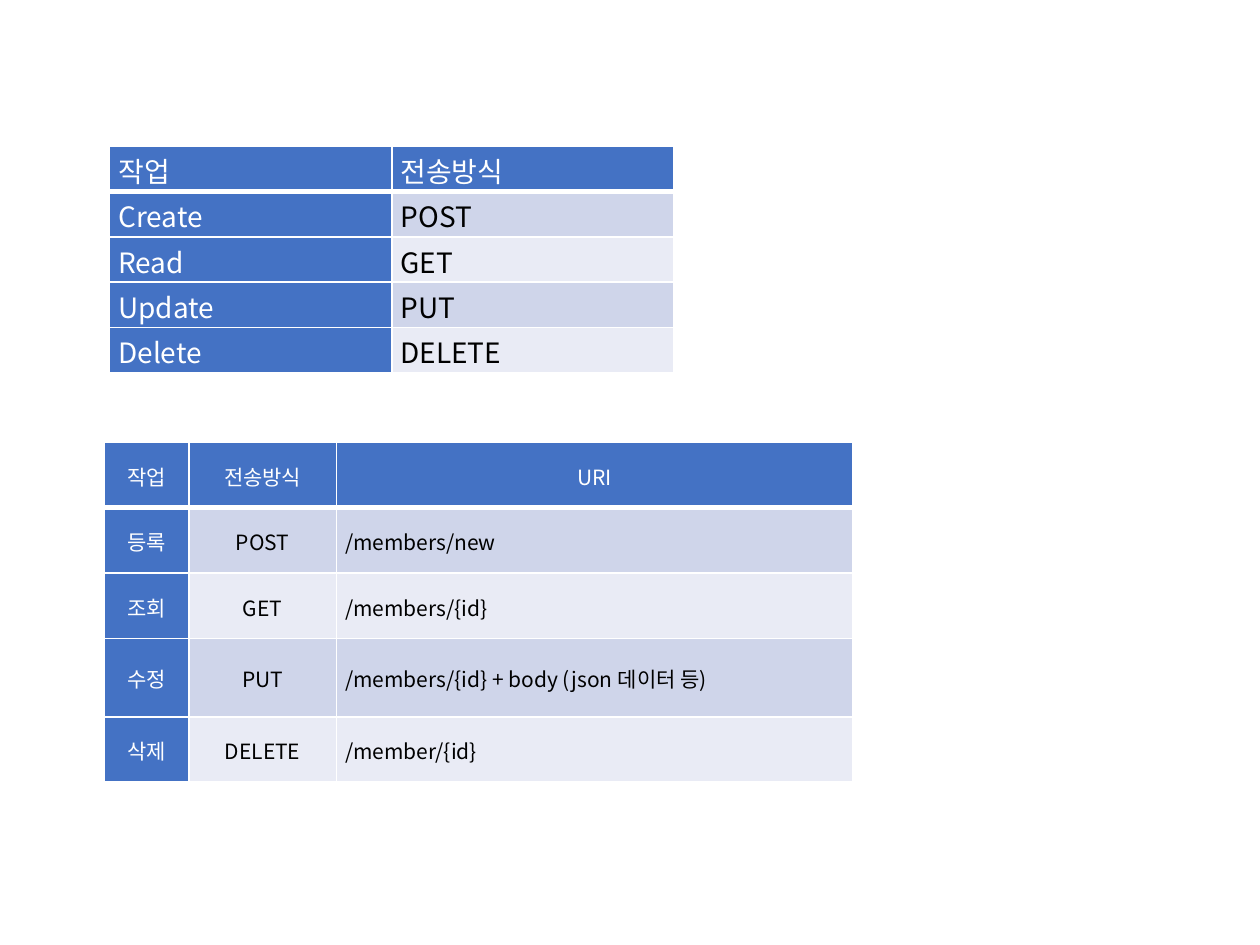
"""Build a slide with two tables that map CRUD tasks to HTTP methods and URIs."""
from lxml.etree import SubElement
from pptx import Presentation
from pptx.dml.color import RGBColor
from pptx.enum.text import MSO_ANCHOR as Anchor, PP_ALIGN as Align
from pptx.oxml.ns import qn
from pptx.util import Inches, Pt

FONT = "Noto Sans CJK KR"
WHITE = RGBColor(0xFF, 0xFF, 0xFF)
BLACK = RGBColor(0x00, 0x00, 0x00)
BLUE = RGBColor(0x44, 0x72, 0xC4)
BANDS = [RGBColor(0xE9, 0xEB, 0xF5), RGBColor(0xCF, 0xD5, 0xEA)]


def write_cell(cell, text, *, size, color, fill, align, bottom_width):
    cell.vertical_anchor = Anchor.MIDDLE
    cell.margin_left = cell.margin_right = Inches(0.07)
    cell.margin_top = cell.margin_bottom = 0
    paragraph = cell.text_frame.paragraphs[0]
    paragraph.alignment = align
    paragraph.line_spacing = 1.07
    run = paragraph.add_run()
    run.text = text
    run.font.size = Pt(size)
    run.font.name = FONT
    run.font.color.rgb = color
    SubElement(run.font._element, qn("a:ea"), typeface=FONT)
    properties = cell._tc.get_or_add_tcPr()
    for side, width in (("L", 1), ("R", 1), ("T", 1), ("B", bottom_width)):
        border = SubElement(properties, qn(f"a:ln{side}"), w=str(Pt(width)))
        border_fill = SubElement(border, qn("a:solidFill"))
        SubElement(border_fill, qn("a:srgbClr"), val=str(WHITE))
    cell.fill.solid()
    cell.fill.fore_color.rgb = fill


METHOD_ROWS = [
    ("작업", "전송방식"),
    ("Create", "POST"),
    ("Read", "GET"),
    ("Update", "PUT"),
    ("Delete", "DELETE"),
]
URI_ROWS = [
    ("작업", "전송방식", "URI"),
    ("등록", "POST", "/members/new"),
    ("조회", "GET", "/members/{id}"),
    ("수정", "PUT", "/members/{id} + body (json 데이터 등)"),
    ("삭제", "DELETE", "/member/{id}"),
]
TABLES = [
    (METHOD_ROWS, 0.87, 1.16, [2.24, 2.24], [0.36] * 5, 16, 0),
    (URI_ROWS, 0.83, 3.51, [0.67, 1.17, 4.1], [0.52, 0.52, 0.52, 0.62, 0.52], 12, 2),
]

presentation = Presentation()
presentation.slide_width = Inches(10)
presentation.slide_height = Inches(7.5)
slide = presentation.slides.add_slide(presentation.slide_layouts[6])

for rows, left, top, widths, heights, size, centered_columns in TABLES:
    table = slide.shapes.add_table(
        len(rows), len(widths), Inches(left), Inches(top),
        Inches(sum(widths)), Inches(sum(heights)),
    ).table
    table.first_col = True
    for column, width in zip(table.columns, widths):
        column.width = Inches(width)
    for row, height in zip(table.rows, heights):
        row.height = Inches(height)
    for r, texts in enumerate(rows):
        for c, text in enumerate(texts):
            heading = r == 0 or c == 0
            centered = c < centered_columns or (r == 0 and centered_columns)
            write_cell(
                table.cell(r, c), text, size=size,
                color=WHITE if heading else BLACK,
                fill=BLUE if heading else BANDS[r % 2],
                align=Align.CENTER if centered else Align.LEFT,
                bottom_width=3 if r == 0 else 1,
            )

presentation.save("out.pptx")
